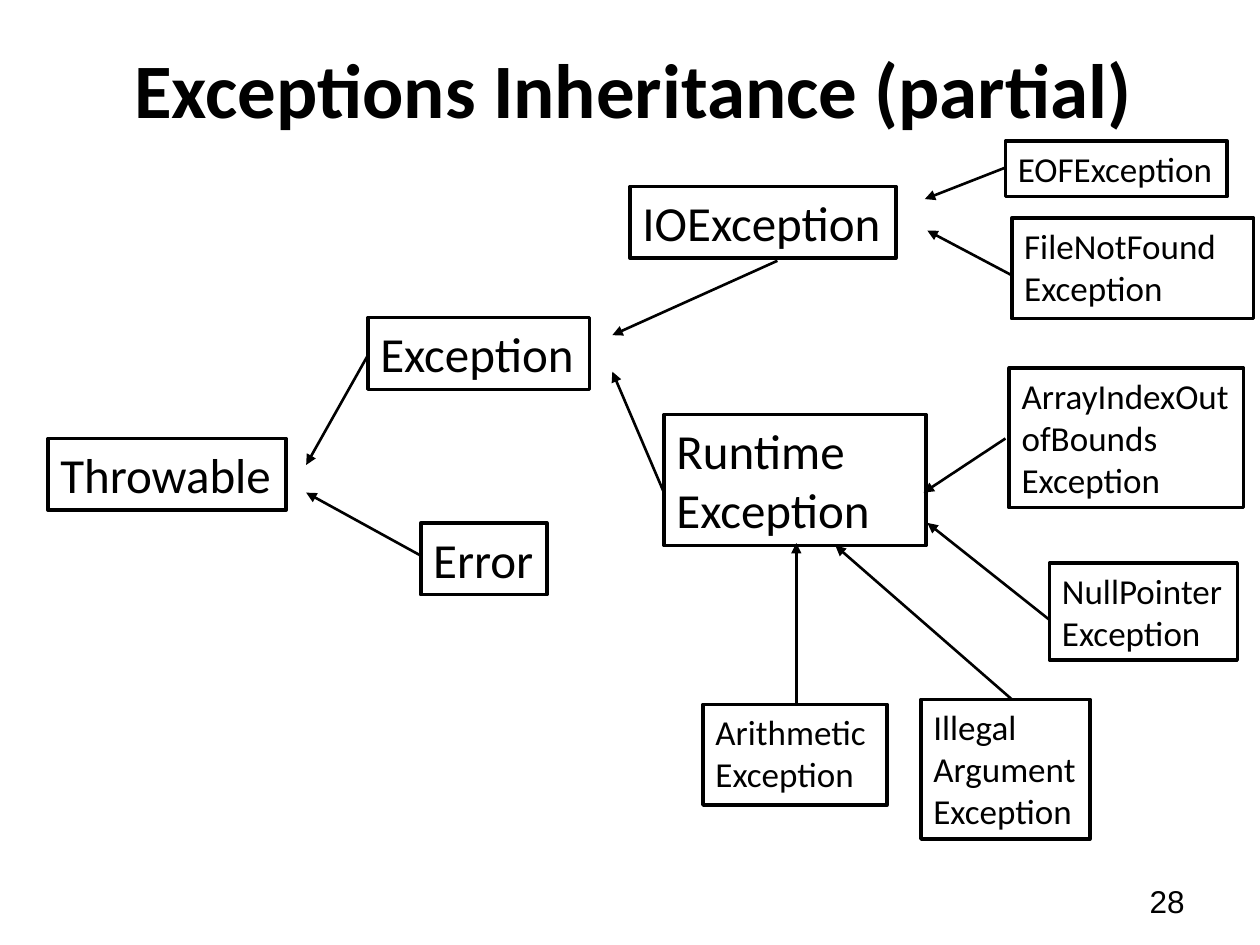
from lxml import etree
from pptx import Presentation
from pptx.dml.color import RGBColor
from pptx.enum import shapes, text
from pptx.oxml.ns import qn
from pptx.util import Inches, Pt

BLACK = RGBColor(0, 0, 0)
PARENT_SIZE, LEAF_SIZE = 28, 20

# Class label, box (left, top, width, height), text size, wrap
CLASSES = [
    ("Throwable", (0.38, 3.48, 1.89, 0.57), PARENT_SIZE, False),
    ("Exception", (2.92, 2.52, 1.76, 0.57), PARENT_SIZE, False),
    ("Error", (3.34, 4.15, 1, 0.57), PARENT_SIZE, False),
    ("IOException", (5, 1.48, 2.11, 0.57), PARENT_SIZE, False),
    ("Runtime\nException", (5.27, 3.29, 2.08, 1.04), PARENT_SIZE, True),
    ("EOFException", (7.98, 1.12, 1.76, 0.44), LEAF_SIZE, False),
    ("FileNotFound\nException", (8.03, 1.73, 1.92, 0.8), LEAF_SIZE, True),
    ("ArrayIndexOut\nofBounds\nException", (8.01, 2.92, 1.86, 1.11), LEAF_SIZE, False),
    ("NullPointer\nException", (8.33, 4.47, 1.49, 0.77), LEAF_SIZE, False),
    ("Arithmetic\nException", (5.58, 5.59, 1.46, 0.8), LEAF_SIZE, True),
    ("Illegal\nArgument\nException", (7.31, 5.55, 1.34, 1.11), LEAF_SIZE, False),
]

# Each arrow runs from subclass to superclass
ARROWS = [
    ((2.92, 2.82), (2.43, 3.69)),  # Exception
    ((3.34, 4.41), (2.43, 3.91)),  # Error
    ((6.17, 2.07), (4.86, 2.66)),  # IOException
    ((5.27, 3.91), (4.86, 2.95)),  # Runtime
    ((7.98, 1.33), (7.34, 1.58)),  # EOF
    ((8.04, 2.19), (7.36, 1.83)),  # FileNotFound
    ((7.98, 3.48), (7.33, 3.91)),  # ArrayIndexOutofBounds
    ((8.33, 4.92), (7.36, 4.15)),  # NullPointer
    ((6.32, 5.59), (6.32, 4.31)),  # Arithmetic
    ((8.03, 5.55), (6.63, 4.33)),  # IllegalArgument
]


def write(frame, words, size, font="Calibri", bold=False, wrap=True,
          align=text.PP_ALIGN.LEFT, anchor=text.MSO_ANCHOR.TOP,
          fit=text.MSO_AUTO_SIZE.NONE):
    frame.word_wrap = wrap
    frame.auto_size = fit
    frame.vertical_anchor = anchor
    line = frame.paragraphs[0]
    line.text = words
    line.alignment = align
    for run in line.runs:
        run.font.size = Pt(size)
        run.font.name = font
        run.font.bold = bold
        run.font.color.rgb = BLACK


def add_title(slide, box):
    title = slide.shapes.title
    title.left, title.top, title.width, title.height = map(Inches, box)
    write(title.text_frame, "Exceptions Inheritance (partial)", 44, bold=True,
          align=text.PP_ALIGN.CENTER, anchor=text.MSO_ANCHOR.MIDDLE)


def add_class(slide, label, box, size, wrap):
    node = slide.shapes.add_shape(shapes.MSO_SHAPE.RECTANGLE, *map(Inches, box))
    node.shadow.inherit = False
    node.fill.background()
    node.line.color.rgb = BLACK
    node.line.width = Pt(2)
    write(node.text_frame, label, size, wrap=wrap,
          fit=text.MSO_AUTO_SIZE.SHAPE_TO_FIT_TEXT)


def add_arrow(slide, start, end):
    arrow = slide.shapes.add_connector(
        shapes.MSO_CONNECTOR.STRAIGHT, *map(Inches, start + end))
    arrow.line.color.rgb = BLACK
    arrow.line.width = Pt(1.5)
    etree.SubElement(arrow.line._get_or_add_ln(), qn("a:tailEnd"), type="triangle")
    etree.SubElement(arrow._element.spPr, qn("a:effectLst"))


def add_page_number(slide, box):
    number = slide.shapes.add_textbox(*map(Inches, box))
    write(number.text_frame, "28", 18, font="Arial",
          align=text.PP_ALIGN.RIGHT, anchor=text.MSO_ANCHOR.MIDDLE)


def main():
    deck = Presentation()
    deck.slide_width, deck.slide_height = Inches(10), Inches(7.5)
    slide = deck.slides.add_slide(deck.slide_layouts[5])

    add_title(slide, (0.53, 0.17, 9, 1.05))
    # Inheritance tree
    for node in CLASSES:
        add_class(slide, *node)
    for start, end in ARROWS:
        add_arrow(slide, start, end)
    add_page_number(slide, (7.17, 6.95, 2.33, 0.4))

    deck.save("out.pptx")


if __name__ == "__main__":
    main()
